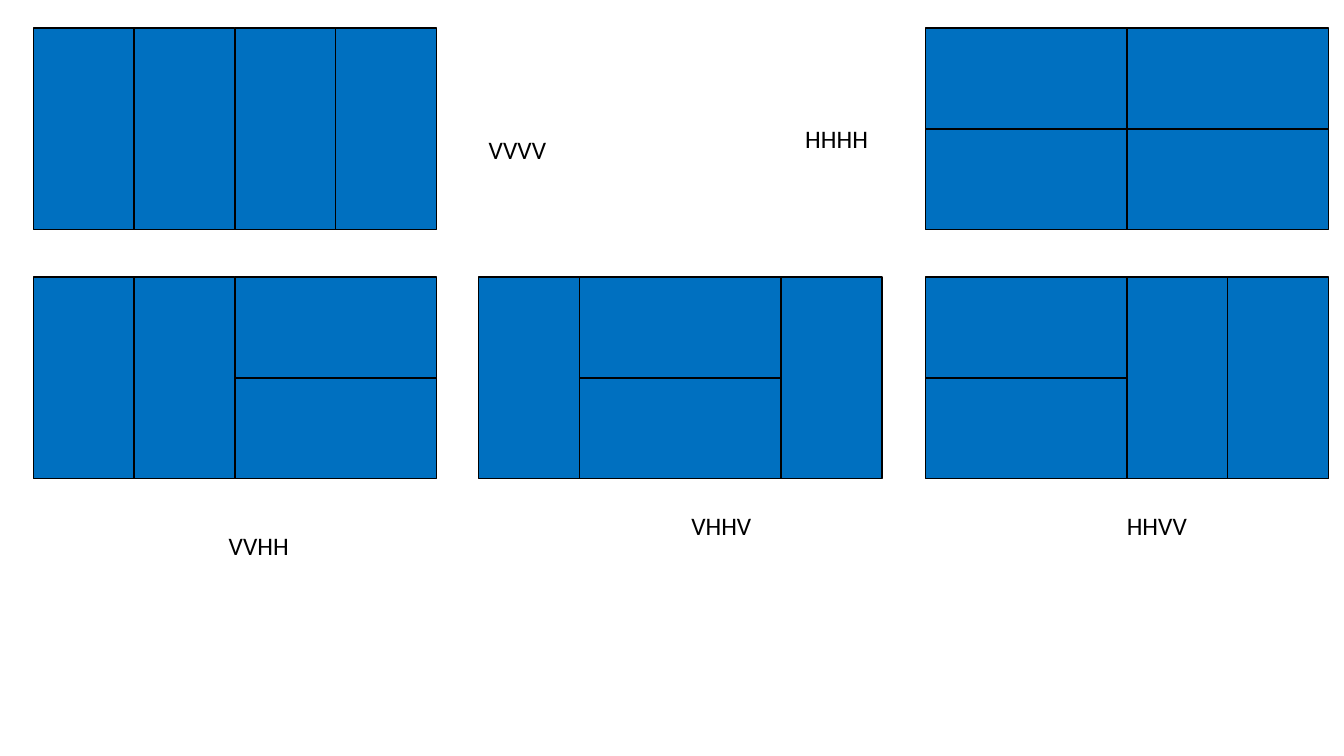
from pptx import Presentation
from pptx.dml.color import RGBColor
from pptx.enum import shapes, text
from pptx.util import Pt

COLORS = {"tile": "0070C0", "ink": "000000"}
SHORT, LONG = 72, 144  # sides of one tile

# Tiling pattern, left and top of its block, left, top and width of its label
TILINGS = [
    ("VVVV", (23.76, 20.16), (342, 92.16, 56.16)),
    ("VVHH", (23.76, 198), (156.24, 375.12, 58.32)),
    ("HHVV", (661, 198), (797.76, 360.72, 58.32)),
    ("HHHH", (661, 20.16), (568.08, 84.24, 59.76)),
    ("VHHV", (342, 198), (486.72, 360.72, 58.32)),
]


def add_tile(group, x, y, flat=False):
    """Place an upright tile at x, y, or one turned on its side."""
    shift = (LONG - SHORT) / 2 if flat else 0
    sp = group.shapes.add_shape(shapes.MSO_SHAPE.RECTANGLE, Pt(x + shift),
                                Pt(y - shift), Pt(SHORT), Pt(LONG))
    sp.rotation = 90 if flat else 0
    sp.shadow.inherit = False
    sp.fill.solid()
    sp.fill.fore_color.rgb = RGBColor.from_string(COLORS["tile"])
    sp.line.color.rgb = RGBColor.from_string(COLORS["ink"])
    sp.line.width = Pt(1)


def add_tiling(s, pattern, x, y):
    """V is one upright tile; HH is two flat tiles stacked."""
    group = s.shapes.add_group_shape()
    for step in pattern.replace("HH", "H"):
        if step == "V":
            add_tile(group, x, y)
            x += SHORT
        else:
            add_tile(group, x, y, flat=True)
            add_tile(group, x, y + SHORT, flat=True)
            x += LONG


def add_label(s, label, x, y, width):
    tf = s.shapes.add_textbox(Pt(x), Pt(y), Pt(width), Pt(29)).text_frame
    tf.word_wrap = False
    tf.auto_size = text.MSO_AUTO_SIZE.SHAPE_TO_FIT_TEXT
    p = tf.paragraphs[0]
    p.text = label
    p.font.name = "Calibri"
    p.font.size = Pt(18)
    p.font.color.rgb = RGBColor.from_string(COLORS["ink"])


def main():
    prs = Presentation()
    prs.slide_width, prs.slide_height = Pt(960), Pt(540)
    s = prs.slides.add_slide(prs.slide_layouts[6])

    # Tiled blocks
    for pattern, block, _ in TILINGS:
        add_tiling(s, pattern, *block)

    # Pattern names
    for pattern, _, box in TILINGS:
        add_label(s, pattern, *box)

    prs.save("out.pptx")


if __name__ == "__main__":
    main()
